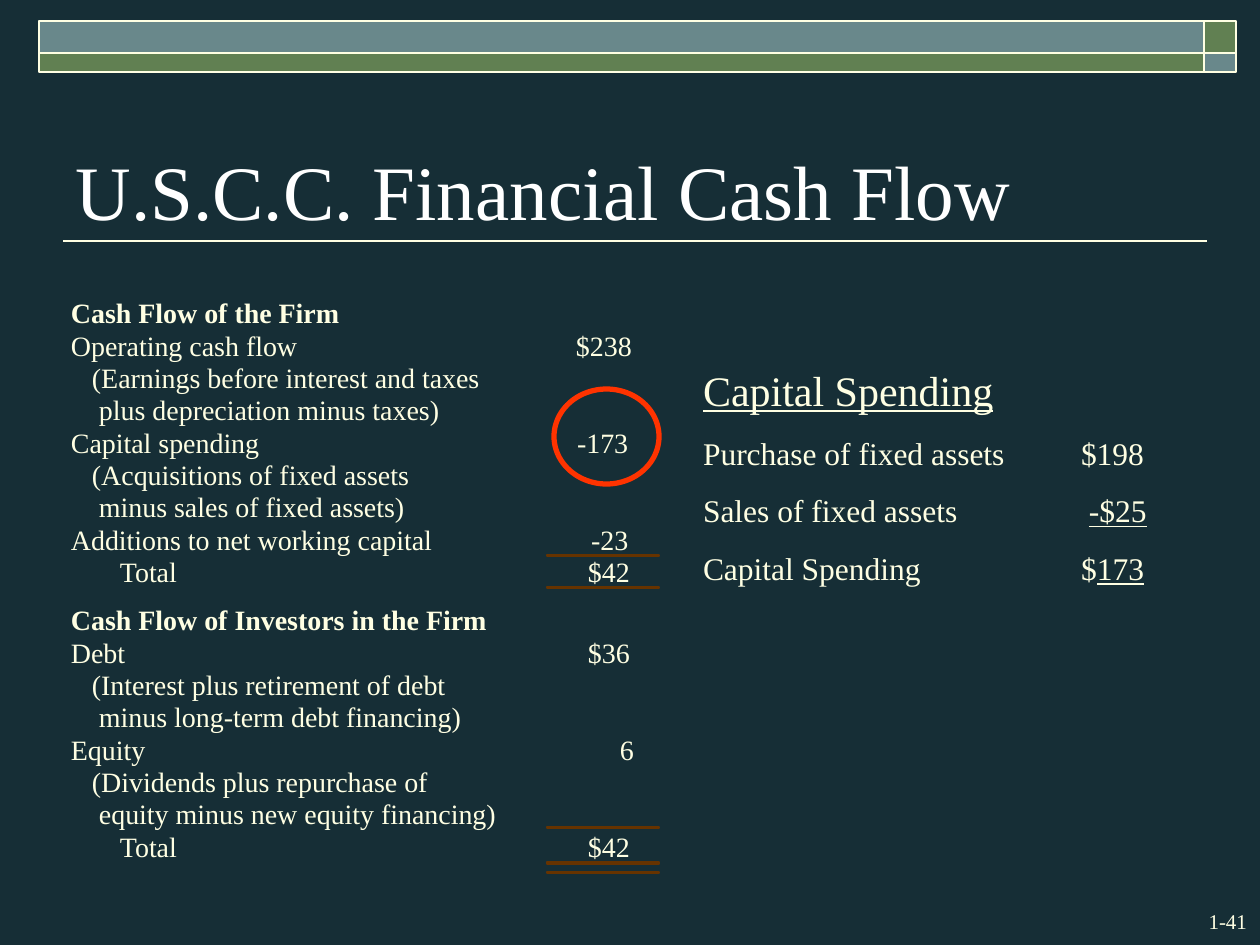
from lxml import etree
from pptx import Presentation
from pptx.dml.color import RGBColor
from pptx.enum.shapes import MSO_CONNECTOR, MSO_SHAPE
from pptx.enum.text import MSO_ANCHOR, MSO_AUTO_SIZE, PP_ALIGN
from pptx.oxml.ns import qn
from pptx.util import Emu, Pt

RECT, OVAL = MSO_SHAPE.RECTANGLE, MSO_SHAPE.OVAL
LINE = MSO_CONNECTOR.STRAIGHT
LEFT, RIGHT = PP_ALIGN.LEFT, PP_ALIGN.RIGHT
BOTTOM, NO_FIT = MSO_ANCHOR.BOTTOM, MSO_AUTO_SIZE.NONE

FONT = "Times New Roman"
BACK, CREAM, WHITE = "162E36", "FFFFE3", "FFFFFF"
GREEN, TEAL, RED, BROWN, BLACK = "618052", "69888B", "FF3300", "663300", "000000"

TITLE = "U.S.C.C. Financial Cash Flow"
PAGE = "1-41"

# Each section: top, then rows of (label, indent in spaces, value, left of value)
SECTIONS = [
    (296, [
        ("Cash Flow of the Firm", 0, None, None),
        ("Operating cash flow", 0, "$238", 576),
        ("(Earnings before interest and taxes", 3, None, None),
        ("plus depreciation minus taxes)", 4, None, None),
        ("Capital spending", 0, "-173", 577),
        ("(Acquisitions of fixed assets", 3, None, None),
        ("minus sales of fixed assets)", 4, None, None),
        ("Additions to net working capital", 0, "-23", 591),
        ("Total", 7, "$42", 588),
    ]),
    (603, [
        ("Cash Flow of Investors in the Firm", 0, None, None),
        ("Debt", 0, "$36", 588),
        ("(Interest plus retirement of debt", 3, None, None),
        ("minus long-term debt financing)", 4, None, None),
        ("Equity", 0, "6", 620),
        ("(Dividends plus repurchase of", 3, None, None),
        ("equity minus new equity financing)", 4, None, None),
        ("Total", 7, "$42", 588),
    ]),
]
ROW_LEFT, ROW_PITCH, ROW_HEIGHT, SPACE = 71, 32.3, 34, 7

# Each paragraph: size, space before, runs of (text, underlined)
SPENDING = [
    (24, 15, [("Capital Spending", True)]),
    (18, 11.2, [("Purchase of fixed assets\t$198", False)]),
    (18, 11.2, [("Sales of fixed assets\t ", False), ("-$25", True)]),
    (18, 11.2, [("Capital Spending\t$", False), ("173", True)]),
]
SPENDING_TAB = 378

BANNER_COLUMNS = [(39, 1165), (1204, 32)]
BANNER_ROWS = [(21, 32, (TEAL, GREEN)), (53, 19, (GREEN, TEAL))]
RULES = [(555, 1), (587, 1), (827, 1), (862, 2), (872, 1)]


def px(n):
    return Emu(round(n * 914400 / 126))


def rgb(value):
    return RGBColor.from_string(value)


def add_run(p, text, size, color=CREAM, **formats):
    r = p.add_run()
    r.text = text
    r.font.color.rgb = rgb(color)
    for name, value in {"name": FONT, "size": Pt(size), **formats}.items():
        setattr(r.font, name, value)


def add_text_box(slide, box, inset=(0, 0), wrap=False):
    tf = slide.shapes.add_textbox(*map(px, box)).text_frame
    tf.word_wrap = wrap
    tf.margin_left = tf.margin_right = px(inset[0])
    tf.margin_top = tf.margin_bottom = px(inset[1])
    return tf


def add_shape(slide, kind, box, fill, line, width):
    sp = slide.shapes.add_shape(kind, *map(px, box))
    sp.shadow.inherit = False
    if fill:
        sp.fill.solid()
        sp.fill.fore_color.rgb = rgb(fill)
    else:
        sp.fill.background()
    sp.line.color.rgb = rgb(line)
    sp.line.width = Pt(width)


def add_frame(slide):
    """Banner, title with its line, and page number."""
    line = slide.shapes.add_connector(LINE, px(63), px(241), px(1207), px(241))
    line.line.color.rgb = rgb(CREAM)
    line.line.width = Pt(1)
    etree.SubElement(line._element.spPr, qn("a:effectLst"))

    for y, h, colors in BANNER_ROWS:
        for (x, w), color in zip(BANNER_COLUMNS, colors):
            add_shape(slide, RECT, (x, y, w, h), color, CREAM, 1)

    p = add_text_box(slide, (1155, 903, 105, 38), (13, 6), True).paragraphs[0]
    p.alignment = RIGHT
    add_run(p, PAGE, 12)

    title = slide.shapes.title
    title.left, title.top, title.width, title.height = map(px, (63, 84, 1100, 158))
    tf = title.text_frame
    tf.auto_size = NO_FIT
    tf.vertical_anchor = BOTTOM
    tf.paragraphs[0].alignment = LEFT
    add_run(tf.paragraphs[0], TITLE, 44, WHITE)


def add_cash_flows(slide):
    for top, rows in SECTIONS:
        for i, (label, indent, value, value_left) in enumerate(rows):
            y = top + i * ROW_PITCH
            x = ROW_LEFT + indent * SPACE
            tf = add_text_box(slide, (x, y, 430, ROW_HEIGHT))
            add_run(tf.paragraphs[0], label, 16, bold=i == 0)
            if value:
                tf = add_text_box(slide, (value_left, y, 56, ROW_HEIGHT))
                add_run(tf.paragraphs[0], value, 16)
    for y, h in RULES:
        add_shape(slide, RECT, (547, y, 112, h), BLACK, BROWN, 0.75)
    add_shape(slide, OVAL, (554, 389, 105, 95), None, RED, 3)


def add_spending(slide):
    tf = add_text_box(slide, (690, 358, 473, 236), (13, 6), True)
    for i, (size, before, runs) in enumerate(SPENDING):
        p = tf.add_paragraph() if i else tf.paragraphs[0]
        p.space_before = Pt(before)
        tabs = etree.SubElement(p._p.get_or_add_pPr(), qn("a:tabLst"))
        etree.SubElement(tabs, qn("a:tab"), pos=str(px(SPENDING_TAB)), algn="l")
        for text, underlined in runs:
            add_run(p, text, size, underline=underlined)


def main():
    prs = Presentation()
    prs.slide_width, prs.slide_height = px(1260), px(945)
    slide = prs.slides.add_slide(prs.slide_layouts[5])
    slide.background.fill.solid()
    slide.background.fill.fore_color.rgb = rgb(BACK)
    add_frame(slide)
    add_cash_flows(slide)
    add_spending(slide)
    prs.save("out.pptx")


if __name__ == "__main__":
    main()
